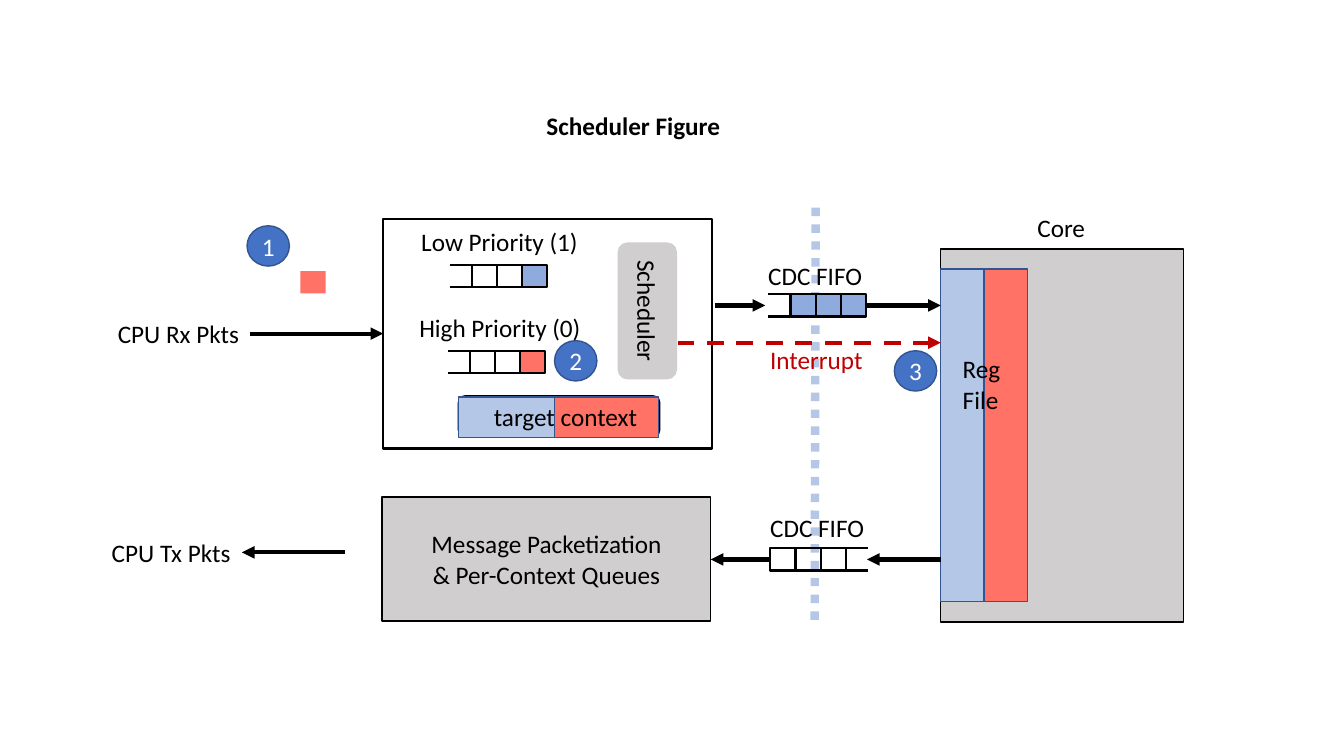
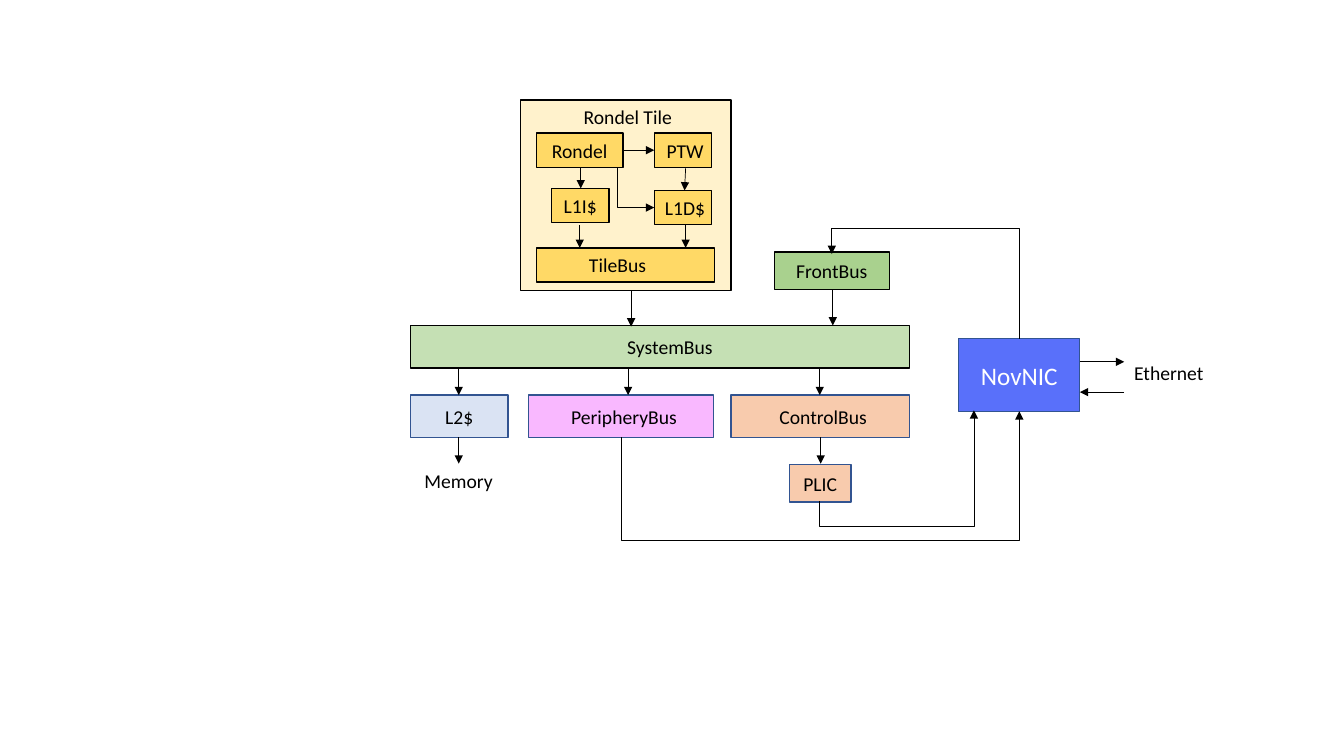
"""Build two block diagrams: a packet scheduler and a processor bus layout."""
from lxml.etree import SubElement
from pptx import Presentation
from pptx.dml.color import RGBColor
from pptx.enum.dml import MSO_LINE
from pptx.enum.shapes import MSO_CONNECTOR, MSO_SHAPE
from pptx.enum.text import MSO_ANCHOR, PP_ALIGN
from pptx.oxml.ns import qn
from pptx.util import Inches, Pt

FONT = "Calibri"
COLORS = {
    "black": "000000", "white": "FFFFFF", "gray": "D0CECE", "navy": "325491",
    "blue": "4472C4", "mid": "8FAADC", "pale": "B4C7E7", "coral": "FF7265",
    "crimson": "C00000", "cream": "FFF2CC", "gold": "FFD966", "leaf": "A9D18E",
    "mint": "C5E0B4", "ice": "DAE3F3", "peach": "F8CBAD", "pink": "F9B8FF",
    "indigo": "5970FA",
}
RECT, ROUND, OVAL = MSO_SHAPE.RECTANGLE, MSO_SHAPE.ROUNDED_RECTANGLE, MSO_SHAPE.OVAL

FIGURE_TITLE = ("Scheduler Figure", (5.32, 1.04, 1.94, 0.4))
CLOCK_BOUNDARY = ((8.09, 2.06), (8.08, 6.17))
INTERRUPT = ((6.72, 3.4), (9.33, 3.4))
SCHEDULER_BLOCKS = [
    ("", (9.33, 2.47, 2.41, 3.7), "gray", "black", 1),
    ("", (3.8, 2.17, 3.26, 2.28), None, "black", 1.5),
    ("Message Packetization\n& Per-Context Queues", (3.79, 4.93, 3.26, 1.23),
     "gray", "black", 1),
    ("", (2.98, 2.69, 0.25, 0.22), "coral", None, 0),
    ("", (9.33, 2.67, 0.43, 3.3), "pale", "navy", 1),
    ("", (9.76, 2.67, 0.43, 3.3), "coral", "navy", 1),
]
SCHEDULER_FRAME = (5.74, 2.79, 1.36, 0.59)
CONTEXT_FRAME = (4.55, 3.93, 1.99, 0.4)
CONTEXT_HALVES = [(4.55, 0.95, "pale"), (5.5, 1.03, "coral")]
QUEUES = [
    (4.68, 2.63, "left", (None, None, "mid")),
    (4.66, 3.48, "left", (None, None, "coral")),
    (7.84, 2.92, "left", ("mid", "mid", "mid")),
    (7.64, 5.44, "right", (None, None, None)),
]
PACKET_FLOWS = [
    ((2.48, 3.31), (3.8, 3.31)), ((7.09, 3.03), (7.59, 3.03)),
    ((8.58, 3.03), (9.33, 3.03)), ((9.33, 5.55), (8.6, 5.55)),
    ((7.64, 5.55), (7.05, 5.55)), ((3.42, 5.48), (2.4, 5.48)),
]
STEPS = [(2.45, 2.24), (5.5, 3.38), (8.87, 3.48)]
SCHEDULER_LABELS = [
    ("CPU Tx Pkts", (1.01, 5.28, 1.39, 0.4), "black"),
    ("CPU Rx Pkts", (1.07, 3.11, 1.41, 0.4), "black"),
    ("CDC FIFO", (7.52, 2.53, 1.14, 0.4), "black"),
    ("CDC FIFO", (7.54, 5.03, 1.14, 0.4), "black"),
    ("Interrupt", (7.54, 3.37, 1.13, 0.4), "crimson"),
    ("Core", (10.19, 2.06, 0.68, 0.4), "black"),
    ("Low Priority (1)", (4.08, 2.2, 1.77, 0.4), "black"),
    ("High Priority (0)", (4.06, 3.05, 1.82, 0.4), "black"),
    ("Reg\nFile", (9.45, 3.46, 0.58, 0.71), "black"),
    ("target context", (4.8, 3.93, 1.64, 0.4), "black"),
]

BUS_BLOCKS = [
    ("", (5.16, 0.99, 2.09, 1.89), "cream", "black", 0),
    ("Rondel", (5.32, 1.32, 0.86, 0.34), "gold", "black", 0),
    ("PTW", (6.49, 1.32, 0.57, 0.34), "gold", "black", 0.02),
    ("L1I$", (5.47, 1.87, 0.57, 0.34), "gold", "black", 0),
    ("L1D$", (6.49, 1.89, 0.57, 0.34), "gold", "black", 0.02),
    ("TileBus", (5.32, 2.46, 1.77, 0.34), "gold", "black", -0.08),
    ("SystemBus", (4.07, 3.23, 4.95, 0.42), "mint", "black", 0.1),
    ("FrontBus", (7.68, 2.5, 1.14, 0.37), "leaf", "black", 0),
    ("L2$", (4.07, 3.92, 0.97, 0.42), "ice", "navy", 0),
    ("PeripheryBus", (5.24, 3.92, 1.84, 0.42), "pink", "navy", 0.03),
    ("ControlBus", (7.25, 3.92, 1.77, 0.42), "peach", "navy", 0.03),
    ("PLIC", (7.83, 4.61, 0.61, 0.37), "peach", "navy", 0),
]
NETWORK_CARD = ("NovNIC", (9.51, 3.36, 1.2, 0.72))
BUS_LABELS = [
    ("Rondel Tile", (5.69, 0.99, 1.3, 0.34)),
    ("Memory", (4.11, 4.6, 0.89, 0.34)),
    ("Ethernet", (11.15, 3.53, 0.9, 0.34)),
]
BUS_LINKS = [
    ((6.18, 1.49), (6.49, 1.49)), ((5.76, 1.67), (5.76, 1.87)),
    ((6.8, 1.67), (6.79, 1.89)), ((5.75, 2.23), (5.75, 2.46)),
    ((6.8, 2.23), (6.8, 2.46)), ((6.26, 2.88), (6.26, 3.24)),
    ((8.26, 2.87), (8.26, 3.23)), ((4.55, 3.65), (4.55, 3.92)),
    ((4.55, 4.34), (4.55, 4.6)), ((6.23, 3.66), (6.23, 3.92)),
    ((8.13, 3.65), (8.13, 3.92)), ((8.14, 4.34), (8.14, 4.6)),
    ((10.71, 3.59), (11.15, 3.59)), ((11.15, 3.89), (10.71, 3.89)),
]
BENT_LINKS = [
    [(6.12, 1.66), (6.12, 2.06), (6.49, 2.06)],
    [(8.13, 4.97), (8.13, 5.22), (9.66, 5.22), (9.66, 4.07)],
    [(6.16, 4.34), (6.16, 5.36), (10.11, 5.36), (10.11, 4.08)],
    [(10.11, 3.36), (10.11, 2.27), (8.25, 2.27), (8.25, 2.52)],
]


def rgb(name):
    return RGBColor.from_string(COLORS[name])


def inches(values):
    return [Inches(value) for value in values]


def write(frame, text, size, color="black", bold=False, align=PP_ALIGN.LEFT):
    frame.text = text
    frame.word_wrap = False
    for paragraph in frame.paragraphs:
        paragraph.alignment = align
        for run in paragraph.runs:
            run.font.name, run.font.size, run.font.bold = FONT, Pt(size), bold
            run.font.color.rgb = rgb(color)


def label(slide, text, box, size, color="black"):
    write(slide.shapes.add_textbox(*inches(box)).text_frame, text, size, color)


def outline(line, color, width):
    if color:
        line.color.rgb, line.width = rgb(color), Pt(width)
    else:
        line.fill.background()


def block(shapes, kind, box, fill, edge, width=1.0, text="", size=18,
          color="black", shift=0):
    shape = shapes.add_shape(kind, *inches(box))
    shape.shadow.inherit = False
    if fill:
        shape.fill.solid()
        shape.fill.fore_color.rgb = rgb(fill)
    else:
        shape.fill.background()
    outline(shape.line, edge, width)
    if text:
        frame = shape.text_frame
        write(frame, text, size, color, align=PP_ALIGN.CENTER)
        frame.vertical_anchor = MSO_ANCHOR.MIDDLE
        frame.margin_left = Inches(max(0, 2 * shift))
        frame.margin_right = Inches(max(0, -2 * shift))
    return shape


def add_arrowhead(shape):
    SubElement(shape._element.spPr.find(qn("a:ln")), qn("a:tailEnd"), type="triangle")


def link(shapes, start, end, width, color="black", dash=None, arrow=True):
    line = shapes.add_connector(MSO_CONNECTOR.STRAIGHT, *inches(start + end))
    outline(line.line, color, width)
    if dash:
        line.line.dash_style = dash
    if arrow:
        add_arrowhead(line)
    SubElement(line._element.spPr, qn("a:effectLst"))


def bent_link(slide, points):
    first, *rest = [tuple(inches(point)) for point in points]
    builder = slide.shapes.build_freeform(*first)
    builder.add_line_segments(rest, close=False)
    route = builder.convert_to_shape()
    route.shadow.inherit = False
    route.fill.background()
    outline(route.line, "black", 0.5)
    add_arrowhead(route)


def queue(slide, left, top, open_side, fills, cell=0.25, height=0.22):
    group = slide.shapes.add_group_shape().shapes
    for index, fill in enumerate(fills):
        block(group, RECT, (left + index * cell, top, cell, height), fill, "black", 1.5)
    mouth = left - 0.22 if open_side == "left" else left + len(fills) * cell
    for y in (top, top + height):
        link(group, (mouth, y), (mouth + 0.22, y), 1.5, arrow=False)


def build_scheduler(deck):
    slide = deck.slides.add_slide(deck.slide_layouts[5])
    shapes = slide.shapes
    text, box = FIGURE_TITLE
    title = shapes.title
    title.left, title.top, title.width, title.height = inches(box)
    write(title.text_frame, text, 18, bold=True)
    title.text_frame.vertical_anchor = MSO_ANCHOR.TOP

    link(shapes, *CLOCK_BOUNDARY, 6, "pale", MSO_LINE.ROUND_DOT, arrow=False)
    for text, box, fill, edge, width in SCHEDULER_BLOCKS:
        block(shapes, RECT, box, fill, edge, width, text)
    block(shapes, ROUND, SCHEDULER_FRAME, "gray", None, text="Scheduler").rotation = 90
    block(shapes, ROUND, CONTEXT_FRAME, None, "black", 1.5)
    for left, width, fill in CONTEXT_HALVES:
        block(shapes, RECT, (left, 3.94, width, 0.4), fill, "navy")
    for entry in QUEUES:
        queue(slide, *entry)
    link(shapes, *INTERRUPT, 3, "crimson", MSO_LINE.DASH)
    for start, end in PACKET_FLOWS:
        link(shapes, start, end, 3)
    for number, corner in enumerate(STEPS, 1):
        block(shapes, OVAL, corner + (0.42, 0.4), "blue", "navy",
              text=str(number), color="white")
    for text, box, color in SCHEDULER_LABELS:
        label(slide, text, box, 18, color)


def build_buses(deck):
    slide = deck.slides.add_slide(deck.slide_layouts[6])
    shapes = slide.shapes
    for text, box, fill, edge, shift in BUS_BLOCKS:
        block(shapes, RECT, box, fill, edge, text=text, size=14, shift=shift)
    text, box = NETWORK_CARD
    block(shapes, RECT, box, "indigo", "navy", text=text, color="white")
    for start, end in BUS_LINKS:
        link(shapes, start, end, 0.5)
    for points in BENT_LINKS:
        bent_link(slide, points)
    for text, box in BUS_LABELS:
        label(slide, text, box, 14)


deck = Presentation()
deck.slide_width, deck.slide_height = Inches(13.33), Inches(7.5)
build_scheduler(deck)
build_buses(deck)
deck.save("out.pptx")
